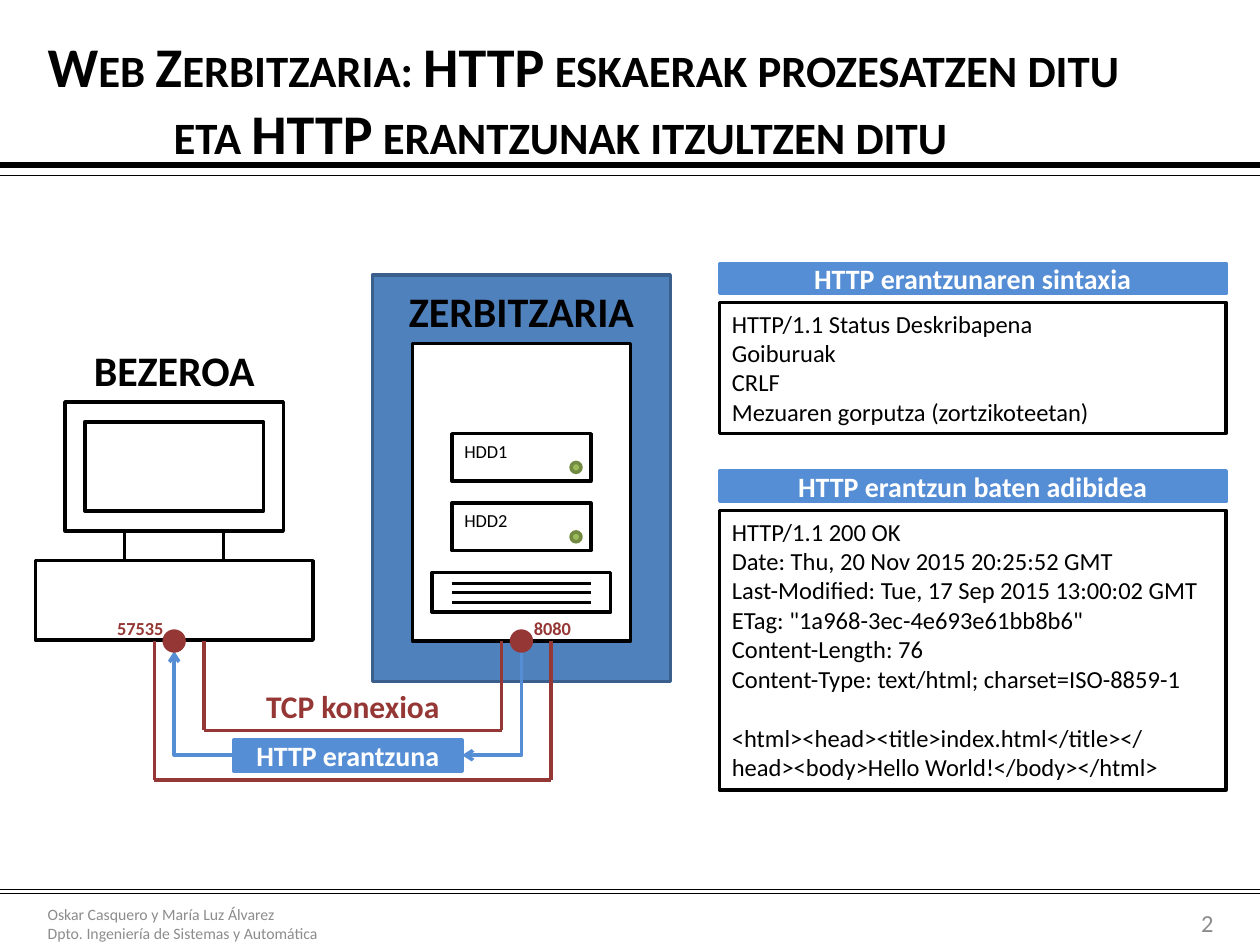
from lxml.etree import SubElement
from pptx import Presentation
from pptx.dml.color import RGBColor
from pptx.enum.shapes import MSO_CONNECTOR as Connector, MSO_SHAPE as Shape
from pptx.enum.text import MSO_ANCHOR as Anchor, PP_ALIGN as Align
from pptx.oxml.ns import qn
from pptx.util import Inches, Pt

WIDTH, HEIGHT = 10, 7.5
MARGIN = 0.28
UNIT, LEFT, TOP = 0.1575, MARGIN, 3.19
BLACK, WHITE, GRAY = "000000", "FFFFFF", "8C8C8C"
RED, BLUE = "953735", "558ED5"

TITLE = ["Web Zerbitzaria: HTTP eskaerak prozesatzen ditu", "eta HTTP erantzunak itzultzen ditu"]
FOOTER = ["Oskar Casquero y María Luz Álvarez", "Dpto. Ingeniería de Sistemas y Automática"]
RULES = [(1.31, 3), (1.39, 0.25), (7.06, 0.25), (7.09, 0.25)]

PANEL_LEFT, PANEL_WIDTH, HEADING_HEIGHT, HEADING_STEP = 5.71, 4.02, 0.24, 0.31
PANELS = [
    ("HTTP erantzunaren sintaxia", 2.09, 1.04,
     ["HTTP/1.1 Status Deskribapena", "Goiburuak", "CRLF", "Mezuaren gorputza (zortzikoteetan)"], []),
    ("HTTP erantzun baten adibidea", 3.74, 2.22,
     ["HTTP/1.1 200 OK", "Date: Thu, 20 Nov 2015 20:25:52 GMT",
      "Last-Modified: Tue, 17 Sep 2015 13:00:02 GMT", 'ETag: "1a968-3ec-4e693e61bb8b6"',
      "Content-Length: 76", "Content-Type: text/html; charset=ISO-8859-1"],
     ["<html><head><title>index.html</title></head><body>Hello World!</body></html>"]),
]

SERVER_FRAME = (17, -6.4, 15, 20.5)
SERVER_CASE = (19, -2.95, 11, 15)
OUTLINES = [(1.5, 0, 11, 6.5), (2.5, 1, 9, 4.5), (0, 8, 14, 4), (4.5, 6.5, 5, 1.5), (20, 8.6, 9, 2)]
SLOT_COLUMNS, SLOT_ROWS = (21, 28), (9.15, 9.6, 10.1)
DISKS = [("HDD1", 1.6), ("HDD2", 5.1)]
DISK_COLUMN = 21
HOSTS = [("BEZEROA", (2, -3.2, 10, 3.2)), ("ZERBITZARIA", (18, -6.2, 13, 3.2))]
PORT_ROW, CLIENT_PORT, SERVER_PORT = 12.05, 7, 24.5
PORTS = [("57535", 3.5), ("8080", SERVER_PORT)]
PIPES = [(8.5, 23.5, 16.55), (6, 26, 19.05)]
CONNECTION = ("TCP konexioa", (10.5, 14.05, 11, 2.5))
RESPONSE = ("HTTP erantzuna", (10, 17.05, 11.5, 1.55))
ARROWS = [((7, 12.55, 3, 5.25), 180), ((20.38, 13.68, 5.25, 3), 90)]

presentation = Presentation()
presentation.slide_width, presentation.slide_height = Inches(WIDTH), Inches(HEIGHT)
slide = presentation.slides.add_slide(presentation.slide_layouts[6])


def color(value):
    return RGBColor.from_string(value)


def grid(column, row, columns, rows):
    return LEFT + column * UNIT, TOP + row * UNIT, columns * UNIT, rows * UNIT


def write(shape, lines, size, tint=BLACK, align=Align.LEFT, anchor=Anchor.TOP, bold=False):
    frame = shape.text_frame
    frame.word_wrap = True
    frame.vertical_anchor = anchor
    frame.text = "\n".join(lines)
    for paragraph in frame.paragraphs:
        paragraph.alignment = align
        for name, value in {"name": "Calibri", "size": Pt(size), "bold": bold}.items():
            setattr(paragraph.font, name, value)
        paragraph.font.color.rgb = color(tint)
    return frame.paragraphs


def add_text(box, lines, size, **style):
    return write(slide.shapes.add_textbox(*map(Inches, box)), lines, size, **style)


def add_block(box, fill=None, line=BLACK, kind=Shape.RECTANGLE):
    shape = slide.shapes.add_shape(kind, *map(Inches, box))
    shape.shadow.inherit = False
    if fill:
        shape.fill.solid()
        shape.fill.fore_color.rgb = color(fill)
    else:
        shape.fill.background()
    shape.line.color.rgb = color(line)
    shape.line.width = Pt(2)
    return shape


def add_label(box, text):
    write(add_block(box, BLUE, BLUE), [text], 16, WHITE, Align.CENTER, Anchor.MIDDLE, True)


def add_line(start, end, tint=BLACK, width=2, kind=Connector.STRAIGHT):
    connector = slide.shapes.add_connector(kind, *map(Inches, (*start, *end)))
    connector.line.color.rgb = color(tint)
    connector.line.width = Pt(width)
    SubElement(connector._element.spPr, qn("a:effectLst"))
    return connector


def add_grid_line(start, end, tint=BLACK):
    add_line(grid(*start, 0, 0)[:2], grid(*end, 0, 0)[:2], tint)


def add_bent_arrow(box, rotation):
    left, top, width, height = grid(*box)
    connector = add_line((left, top), (left + width, top + height), BLUE, kind=Connector.ELBOW)
    properties = connector._element.spPr
    properties.find(qn("a:xfrm")).set("rot", str(rotation * 60000))
    properties.find(qn("a:prstGeom")).set("prst", "bentConnector2")
    SubElement(properties.find(qn("a:ln")), qn("a:tailEnd"), type="arrow")


def draw_frame():
    for height, width in RULES:
        add_line((0, height), (WIDTH, height), width=width)
    title = add_text((MARGIN, 0.29, 9.45, 0.98), TITLE, 32, anchor=Anchor.MIDDLE, bold=True)
    for paragraph in title:
        paragraph.runs[0].font._element.set("cap", "small")
    title[1]._p.get_or_add_pPr().set("marL", str(Inches(1)))
    add_text((MARGIN, 7.13, 3.7, 0.4), FOOTER, 9, tint=GRAY, anchor=Anchor.MIDDLE)
    add_text((8.94, 7.18, 0.79, 0.28), ["2"], 14, tint=GRAY, align=Align.RIGHT, anchor=Anchor.MIDDLE)


def draw_computers():
    add_block(grid(*SERVER_FRAME), "4F81BD", "3A5F8C")
    add_block(grid(*SERVER_CASE), WHITE)
    for outline in OUTLINES:
        add_block(grid(*outline))
    for row in SLOT_ROWS:
        add_grid_line((SLOT_COLUMNS[0], row), (SLOT_COLUMNS[1], row))
    for name, row in DISKS:
        add_block(grid(DISK_COLUMN, row, 7, 2.4))
        add_block(grid(DISK_COLUMN + 6, row + 1.45, 0.5, 0.5), "9BBB59", "738A42", Shape.OVAL)
        add_text(grid(DISK_COLUMN, row, 4, 1.8), [name], 10.5)
    for name, box in HOSTS:
        add_text(grid(*box), [name], 24, align=Align.CENTER, bold=True)


def draw_connection():
    for first, last, bottom in PIPES:
        for column in (first, last):
            add_grid_line((column, PORT_ROW), (column, bottom), RED)
        add_grid_line((first, bottom), (last, bottom), RED)
    text, box = CONNECTION
    add_text(grid(*box), [text], 18, tint=RED, align=Align.CENTER, bold=True)
    text, box = RESPONSE
    add_label(grid(*box), text)
    for box, rotation in ARROWS:
        add_bent_arrow(box, rotation)
    for column in (CLIENT_PORT, SERVER_PORT):
        add_block(grid(column - 0.5, PORT_ROW - 0.5, 1, 1), RED, RED, Shape.OVAL)
    for number, column in PORTS:
        add_text(grid(column, 10.55, 4, 1.8), [number], 10.5, tint=RED, bold=True)


def draw_panels():
    for heading, top, height, header, body in PANELS:
        add_label((PANEL_LEFT, top, PANEL_WIDTH, HEADING_HEIGHT), heading)
        block = add_block((PANEL_LEFT, top + HEADING_STEP, PANEL_WIDTH, height))
        paragraphs = write(block, header + body, 14)
        if body:
            paragraphs[len(header)].space_before = Pt(17)


draw_frame()
draw_computers()
draw_connection()
draw_panels()
presentation.save("out.pptx")
